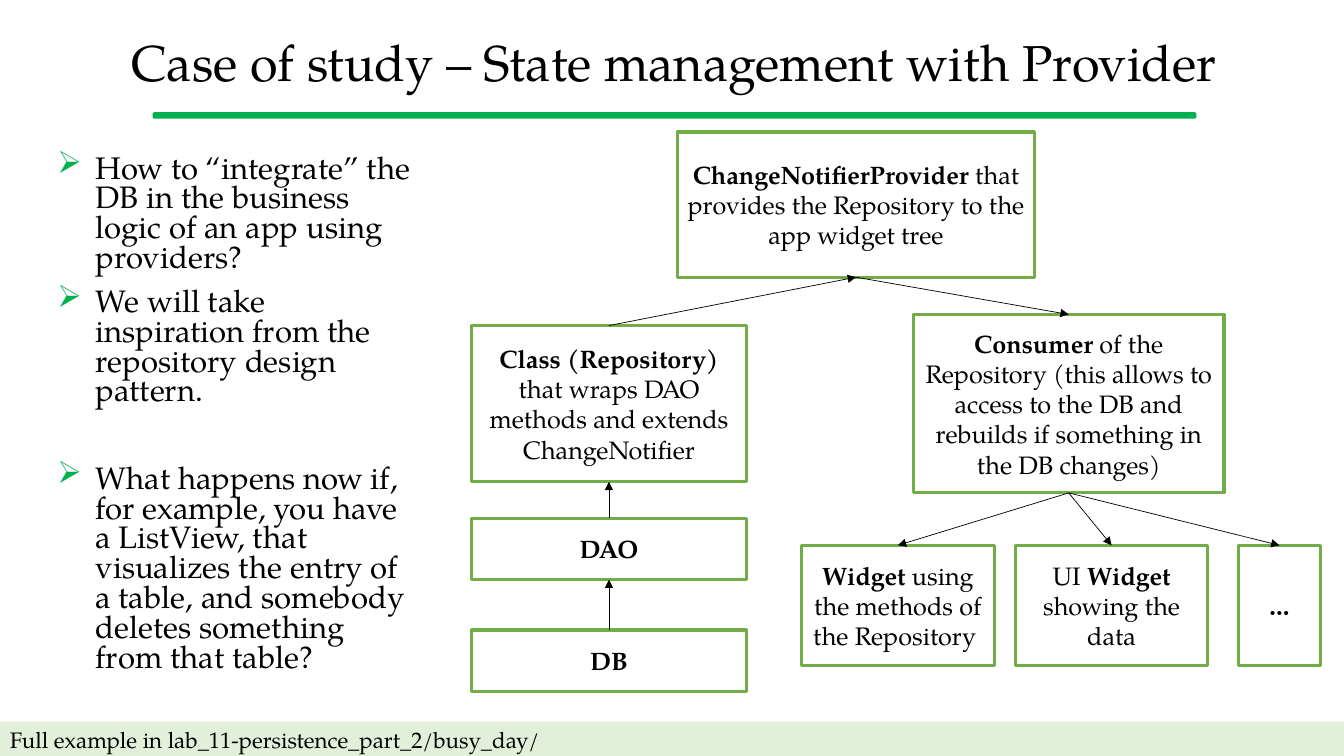
import pptx
import pptx.dml.color
import pptx.enum.shapes
import pptx.enum.text
import pptx.oxml
import pptx.oxml.ns
import pptx.util

PX = 9144
FONT = "TeX Gyre Pagella"
BLACK, WHITE, GREEN = "000000", "FFFFFF", "00B050"
EDGE, PALE = "70AD47", "E2F0D9"
SHAPE = pptx.enum.shapes.MSO_SHAPE
ALIGN = pptx.enum.text.PP_ALIGN
MIDDLE = pptx.enum.text.MSO_ANCHOR.MIDDLE
TOP, BOTTOM = 0, 2


def px(*sizes):
    """Turn px lengths into EMU."""
    return [pptx.util.Emu(size * PX) for size in sizes]


def tint(code):
    """Turn a hex string into a colour."""
    return pptx.dml.color.RGBColor.from_string(code)


def attach(parent, tag, **attrs):
    """Append a drawing element with attributes."""
    node = pptx.oxml.parse_xml(f"<a:{tag} {pptx.oxml.ns.nsdecls('a')}/>")
    for key, value in attrs.items():
        node.set(key, value)
    parent.append(node)
    return node


def write(para, runs, size, align=ALIGN.LEFT, ratio=1.0):
    """Fill a paragraph with (text, bold) runs."""
    para.alignment = align
    para.line_spacing = ratio
    for text, bold in runs:
        run = para.add_run()
        run.text = text
        font = run.font
        font.name, font.size, font.bold = FONT, pptx.util.Pt(size), bold
        font.color.rgb = tint(BLACK)


def block(slide, area, fill, edge=None, width=1, kind=SHAPE.RECTANGLE):
    """Add a flat filled shape."""
    shape = slide.shapes.add_shape(kind, *px(*area))
    shape.shadow.inherit = False
    shape.fill.solid()
    shape.fill.fore_color.rgb = tint(fill)
    if edge:
        shape.line.color.rgb = tint(edge)
        shape.line.width = pptx.util.Pt(width)
    else:
        shape.line.fill.background()
    shape.text_frame.word_wrap = True
    shape.text_frame.vertical_anchor = MIDDLE
    return shape


def node(slide, area, *runs):
    """Add a diagram box with centred text."""
    shape = block(slide, area, WHITE, EDGE, 2.25)
    write(shape.text_frame.paragraphs[0], runs, 18, ALIGN.CENTER)
    return shape


def arrow(slide, start, out, end, into):
    """Link two boxes with an arrow."""
    kind = pptx.enum.shapes.MSO_CONNECTOR.STRAIGHT
    link = slide.shapes.add_connector(kind, 0, 0, 0, 0)
    link.begin_connect(start, out)
    link.end_connect(end, into)
    link.line.color.rgb = tint(BLACK)
    link.line.width = pptx.util.Pt(0.5)
    attach(link.line._get_or_add_ln(), "tailEnd", type="triangle")
    attach(link._element.spPr, "effectLst")


def frame(slide, area):
    """Add a wrapping text box and return its frame."""
    text = slide.shapes.add_textbox(*px(*area)).text_frame
    text.word_wrap = True
    return text


def points(slide, area, items):
    """Add bulleted text from (text, space before) items."""
    text = frame(slide, area)
    for index, (words, gap) in enumerate(items):
        para = text.add_paragraph() if index else text.paragraphs[0]
        props = para._p.get_or_add_pPr()
        indent = px(38)[0]
        props.set("marL", str(indent))
        props.set("indent", str(-indent))
        attach(attach(props, "buClr"), "srgbClr", val=GREEN)
        attach(props, "buChar", char="➢")
        write(para, [(words, False)], 22.2, ratio=0.8)
        if gap:
            para.space_before = pptx.util.Pt(gap)


def chart(slide):
    """Draw the provider diagram."""
    left, wide = 468, 272
    repo = node(slide, (left, 323, wide, 155), ("Class (Repository) ", True),
                ("that wraps DAO methods and extends ChangeNotifier", False))
    dao = node(slide, (left, 514, wide, 61), ("DAO", True))
    base = node(slide, (left, 625, wide, 61), ("DB", True))
    root = node(slide, (672, 131, 354, 144), ("ChangeNotifierProvider", True),
                (" that provides the Repository to the app widget tree", False))
    user = node(slide, (906, 312, 308, 177), ("Consumer", True),
                (" of the Repository (this allows to access to the DB and "
                 "rebuilds if something in the DB changes)", False))
    row, tall = 541, 119
    leaves = [
        node(slide, (795, row, 191, tall), ("Widget", True),
             (" using the methods of the Repository ", False)),
        node(slide, (1007, row, 191, tall), ("UI ", False), ("Widget", True),
             (" showing the data", False)),
        node(slide, (1228, row, 82, tall), ("…", True)),
    ]
    for low, high in ((base, dao), (dao, repo), (repo, root)):
        arrow(slide, low, TOP, high, BOTTOM)
    arrow(slide, root, BOTTOM, user, TOP)
    for leaf in leaves:
        arrow(slide, user, BOTTOM, leaf, TOP)


def main():
    """Build and save the slide."""
    deck = pptx.Presentation()
    deck.slide_width, deck.slide_height = px(1333, 750)
    slide = deck.slides.add_slide(deck.slide_layouts[6])
    rule = block(slide, (152, 112, 1034, 5), GREEN, GREEN,
                 kind=SHAPE.ROUNDED_RECTANGLE)
    rule.adjustments[0] = 0.26
    title = frame(slide, (47, 18, 1243, 94))
    title.vertical_anchor = MIDDLE
    write(title.paragraphs[0],
          [("Case of study – State management with Provider", False)],
          36, ALIGN.CENTER, 0.9)
    points(slide, (47, 149, 374, 544), [
        ("How to “integrate” the DB in the business logic of an app "
         "using providers?", 0),
        ("We will take inspiration from the repository design pattern.", 10),
        ("What happens now if, for example, you have a ListView, that "
         "visualizes the entry of a table, and somebody deletes something "
         "from that table?", 41),
    ])
    foot = block(slide, (0, 716, 1333, 39), PALE)
    write(foot.text_frame.paragraphs[0],
          [("Full example in lab_11-persistence_part_2/busy_day/", False)],
          16, ratio=0.9)
    chart(slide)
    deck.save("out.pptx")


if __name__ == "__main__":
    main()
